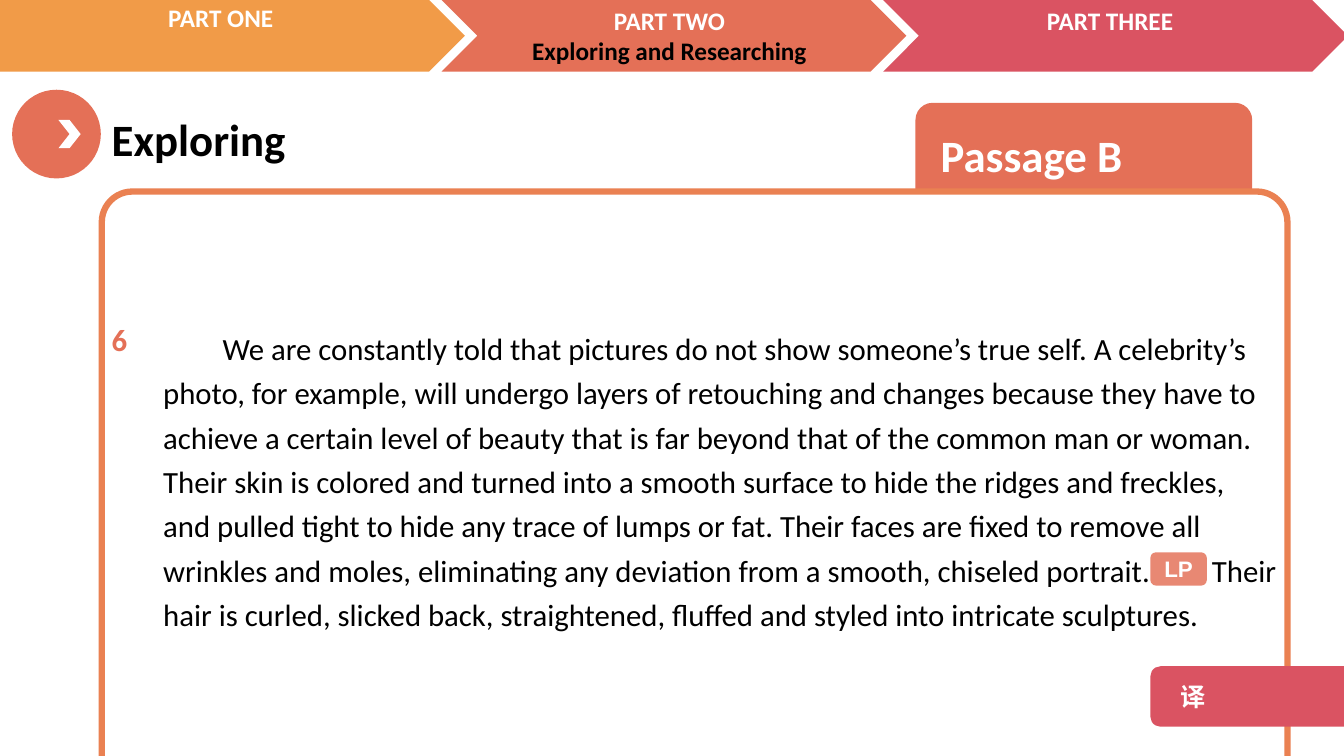
from lxml import etree
from pptx import Presentation
from pptx.dml.color import RGBColor
from pptx.enum.shapes import MSO_SHAPE as SHAPE
from pptx.enum.text import MSO_ANCHOR as ANCHOR, PP_ALIGN as ALIGN
from pptx.oxml.ns import qn
from pptx.util import Inches, Pt

COLORS = {
    "orange": "F19B48", "coral": "E47057", "rose": "DA5362",
    "frame": "EA8152", "white": "FFFFFF", "black": "000000",
}
BEFORE_BUTTON = (
    "We are constantly told that pictures do not show someone’s true self. "
    "A celebrity’s photo, for example, will undergo layers of retouching and "
    "changes because they have to achieve a certain level of beauty that is "
    "far beyond that of the common man or woman. Their skin is colored and "
    "turned into a smooth surface to hide the ridges and freckles, and pulled "
    "tight to hide any trace of lumps or fat. Their faces are fixed to remove "
    "all wrinkles and moles, eliminating any deviation from a smooth, chiseled "
    "portrait."
)
AFTER_BUTTON = (
    "Their hair is curled, slicked back, straightened, fluffed and "
    "styled into intricate sculptures."
)


def rgb(name):
    return RGBColor.from_string(COLORS[name])


def style(paragraph, size, color, bold=True, font="Calibri", align=ALIGN.LEFT):
    paragraph.alignment = align
    paragraph.font.size = Pt(size)
    paragraph.font.name = font
    paragraph.font.bold = bold
    paragraph.font.color.rgb = rgb(color)


def add_block(slide, kind, box, fill, line=None):
    shape = slide.shapes.add_shape(kind, *map(Inches, box))
    shape.shadow.inherit = False
    shape.fill.solid()
    shape.fill.fore_color.rgb = rgb(fill)
    if line:
        shape.line.color.rgb = rgb(line)
        shape.line.width = Pt(4.5)
    else:
        shape.line.fill.background()
    return shape


def add_label(shape, text, size, inset=0.1, **look):
    frame = shape.text_frame
    frame.vertical_anchor = ANCHOR.MIDDLE
    frame.margin_left = Inches(inset)
    paragraph = frame.paragraphs[0]
    paragraph.text = text
    style(paragraph, size, "white", **look)


def add_text(slide, box, lines, size, spacing=None, **look):
    """Add a text box; lines holds (text, color) pairs."""
    frame = slide.shapes.add_textbox(*map(Inches, box)).text_frame
    frame.word_wrap = True
    for index, (text, color) in enumerate(lines):
        paragraph = frame.add_paragraph() if index else frame.paragraphs[0]
        paragraph.text = text
        paragraph.line_spacing = spacing
        style(paragraph, size, color, **look)
    return frame


def add_wide_space(paragraph, points):
    """Add one space, widened by character spacing."""
    run = paragraph.add_run()
    run.text = " "
    run._r.get_or_add_rPr().set("spc", str(points * 100))


def set_opacity(shape, percent):
    color = shape.fill._xPr.find(qn("a:solidFill"))[0]
    etree.SubElement(color, qn("a:alpha"), val=str(percent * 1000))


def add_navigation(slide):
    parts = [
        ((4.38, 0, 4.61, 0.71), "coral", (4.36, 0, 4.56, 0.71),
         [("PART TWO", "white"), ("Exploring and Researching", "black")]),
        ((8.76, 0, 4.61, 0.71), "rose", (8.73, 0, 4.56, 0.4),
         [("PART THREE", "white")]),
        ((-0.61, 0, 5.22, 0.71), "orange", (-0.09, -0.03, 4.56, 0.4),
         [("PART ONE", "white")]),
    ]
    for arrow, fill, box, lines in parts:
        add_block(slide, SHAPE.CHEVRON, arrow, fill)
        add_text(slide, box, lines, 18, align=ALIGN.CENTER)


def add_heading(slide):
    add_block(slide, SHAPE.OVAL, (0.12, 0.89, 0.88, 0.88), "coral")
    add_block(slide, SHAPE.CHEVRON, (0.58, 1.19, 0.22, 0.28), "white")
    add_text(slide, (1.01, 1.06, 4.85, 0.64), [("Exploring", "black")], 32)


def add_passage(slide):
    # Tab and frame
    tab = add_block(slide, SHAPE.ROUNDED_RECTANGLE, (9.08, 1.02, 3.34, 1.02), "coral")
    add_label(tab, "Passage B", 32, inset=0.2)
    panel = add_block(slide, SHAPE.ROUNDED_RECTANGLE, (1.01, 1.9, 11.76, 6.45),
                      "white", line="frame")
    panel.adjustments[0] = 0.047

    # Paragraph with room for the LP button, and its number
    body = add_text(slide, (1.52, 3.15, 11.25, 3.2), [(BEFORE_BUTTON, "black")], 22,
                    spacing=1.2, bold=False)
    body.margin_right = Inches(0.11)
    paragraph = body.paragraphs[0]
    paragraph._p.get_or_add_pPr().set("indent", str(Inches(0.59)))
    add_wide_space(paragraph, 39)
    paragraph.add_run().text = AFTER_BUTTON
    add_text(slide, (1.01, 3.06, 0.51, 0.55), [("6", "coral")], 22, spacing=1.2)


def add_buttons(slide):
    translate = add_block(slide, SHAPE.ROUNDED_RECTANGLE, (11.41, 6.61, 2.13, 0.6), "rose")
    add_label(translate, "译", 18, inset=0.27, font="Noto Sans CJK SC")
    point = add_block(slide, SHAPE.ROUNDED_RECTANGLE, (11.41, 5.48, 0.56, 0.33), "coral")
    set_opacity(point, 83)
    add_label(point, "LP", 16, font="Arial", align=ALIGN.CENTER)


def main():
    presentation = Presentation()
    presentation.slide_width = Inches(13.33)
    presentation.slide_height = Inches(7.5)
    slide = presentation.slides.add_slide(presentation.slide_layouts[6])
    add_navigation(slide)
    add_heading(slide)
    add_passage(slide)
    add_buttons(slide)
    presentation.save("out.pptx")


if __name__ == "__main__":
    main()
